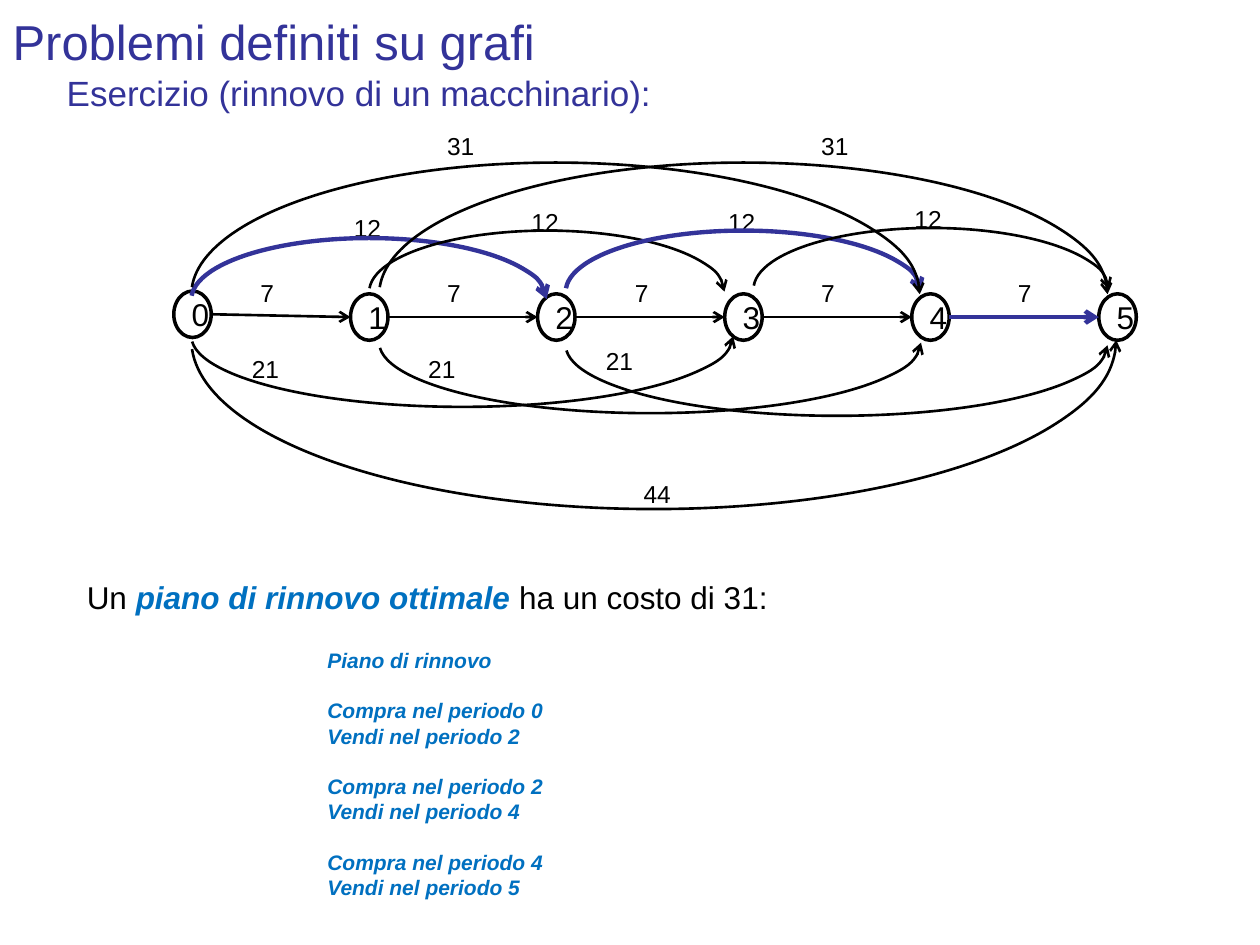
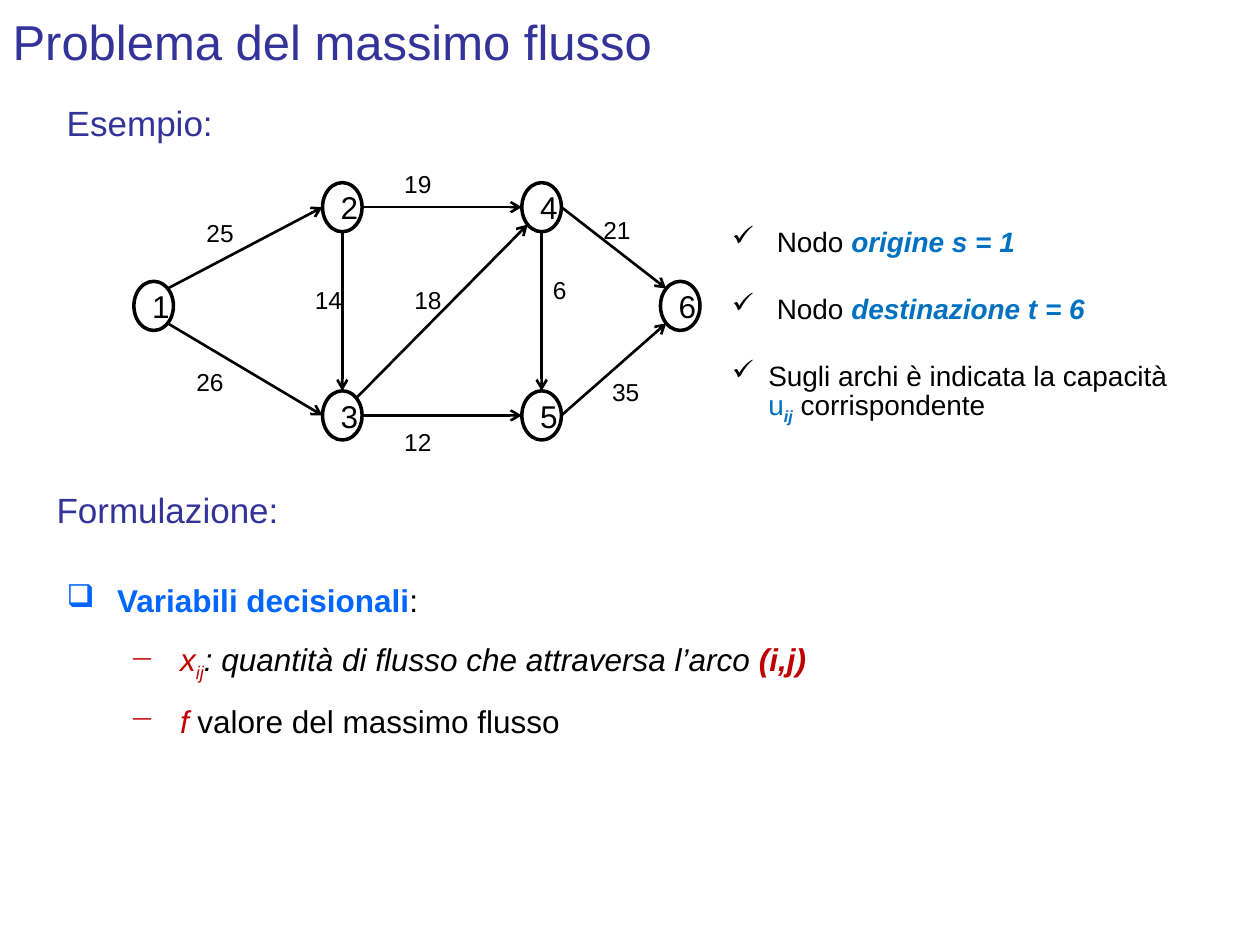
from pptx import Presentation
from pptx.dml.color import RGBColor
from pptx.enum.shapes import MSO_CONNECTOR, MSO_SHAPE
from pptx.enum.text import MSO_ANCHOR, MSO_AUTO_SIZE, PP_ALIGN
from pptx.oxml.ns import qn
from pptx.util import Pt
from lxml.etree import SubElement

FONT = "Arial"
NAVY, BLACK, WHITE = "333399", "000000", "FFFFFF"
BLUE, BRIGHT, RED = "0070C0", "0066FF", "C00000"

PLAN = {
    "title": "Problemi definiti su grafi",
    "heads": [("Esercizio (rinnovo di un macchinario):", 31, 37.4)],
    "size": (21.4, 26.6),
    "nodes": {"0": (110, 179.6)} | {str(i): (104.1 + 106.9 * i, 181.2) for i in range(1, 6)},
    "edges": [(str(i), "E", str(i + 1), "W", i == 4) for i in range(5)],
    "labels": [("7", x, 155.5) for x in (141.8, 248.4, 355.7, 462.2, 574.6)] + [
        ("12", 195.1, 118.1), ("12", 296.6, 114.5), ("12", 409, 114.5), ("12", 515.5, 113),
        ("21", 136.8, 198.7), ("21", 237.6, 198.7), ("21", 339.1, 194.4),
        ("31", 248.4, 71.3), ("31", 462.2, 71.3), ("44", 360.7, 270),
    ],
}
ARCS = [
    (203, 69.8, False, [(109.4, 136.1, True), (211, 131.8, False),
                        (323.3, 131.8, True), (430.6, 130.3, False)]),
    (309.6, 80.6, True, [(109.4, 151.9, False), (216.7, 155.5, False), (323.3, 157, False)]),
    (528.5, 193, True, [(109.4, 97.9, False)]),
    (416.2, 150.5, False, [(109.4, 92.9, False), (216.7, 92.9, False)]),
]
COST = [({}, [("Un ", BLACK, ""), ("piano di rinnovo ottimale ", BLUE, "bi"),
              ("ha un costo di 31:", BLACK, "")])]
STEPS = [(0, 2), (2, 4), (4, 5)]

FLOW = {
    "title": "Problema del massimo flusso",
    "heads": [("Esempio:", 31, 54.7), ("Formulazione:", 25.2, 275.8)],
    "size": (22.6, 28.1),
    "nodes": {"1": (87.8, 174.8), "2": (195.6, 118.4), "3": (195.6, 237.4),
              "4": (309.5, 118.4), "5": (309.5, 237.4), "6": (388.7, 174.8)},
    "edges": [(a, s, b, t, False) for a, s, b, t in (
        ("1", "NE", "2", "W"), ("1", "SE", "3", "W"), ("3", "NE", "4", "SW"),
        ("2", "E", "4", "W"), ("3", "E", "5", "W"), ("2", "S", "3", "N"),
        ("4", "S", "5", "N"), ("4", "E", "6", "NW"), ("5", "E", "6", "SW"))],
    "labels": [("25", 110.9, 121), ("26", 105.1, 205.9), ("14", 172.8, 159.1),
               ("19", 223.9, 92.9), ("12", 223.9, 240.5), ("18", 229.7, 159.1),
               ("6", 308.9, 153.4), ("21", 337.7, 119.5), ("35", 342.7, 211.7)],
}
LINE = Pt(19.2)
NOTES = [
    ({"mark": "✓", "left": 25.7, "hang": 25.7, "line": LINE},
     [("Nodo ", BLACK, ""), ("origine s = 1", BLUE, "bi")]),
    ({"mark": "✓", "left": 25.7, "hang": 25.7, "line": LINE, "gap": 19.2},
     [("Nodo ", BLACK, ""), ("destinazione t = 6", BLUE, "bi")]),
    ({"mark": "✓", "left": 20.9, "hang": 20.9, "line": LINE, "gap": 19.2},
     [("Sugli archi è indicata la capacità", BLACK, "")]),
    ({"left": 20.9, "line": LINE},
     [("u", BLUE, ""), ("ij", BLUE, "bis"), (" corrispondente", BLACK, "")]),
]
SUB = {"mark": "─", "left": 64.8, "hang": 28.8, "line": 1.5}
VARS = [
    ({"mark": "❑", "left": 28.8, "hang": 28.8, "line": 1.5},
     [("Variabili decisionali", BRIGHT, "b"), (":", BLACK, "")]),
    (SUB, [("x", RED, "i"), ("ij", RED, "is"),
           (": quantità di flusso che attraversa l’arco ", BLACK, "i"), ("(i,j)", RED, "bi")]),
    (SUB, [("f", RED, "i"), (" valore del massimo flusso", BLACK, "")]),
]


def color(code):
    return RGBColor.from_string(code)


def write(para, text, size, code, style=""):
    run = para.add_run()
    run.text = text
    font = run.font
    font.name, font.size = FONT, Pt(size)
    font.bold, font.italic = "b" in style, "i" in style
    font.color.rgb = color(code)
    if "s" in style:
        run._r.get_or_add_rPr().set("baseline", "-25000")


def shape_para(para, mark=None, left=0, hang=0, line=None, gap=0):
    prop = para._p.get_or_add_pPr()
    prop.set("marL", str(Pt(left)))
    prop.set("indent", str(-Pt(hang)))
    if mark:
        SubElement(prop, qn("a:buChar")).set("char", mark)
    if line:
        para.line_spacing = line
    if gap:
        para.space_before = Pt(gap)


def put(slide, box, size, paras):
    frame = slide.shapes.add_textbox(*map(Pt, box)).text_frame
    frame.word_wrap = True
    for k, (opts, runs) in enumerate(paras):
        para = frame.add_paragraph() if k else frame.paragraphs[0]
        shape_para(para, **opts)
        for text, code, style in runs:
            write(para, text, size, code, style)


def stroke(item, hot):
    item.line.color.rgb = color(NAVY if hot else BLACK)
    item.line.width = Pt(2.5 if hot else 1.5)
    SubElement(item.line._get_or_add_ln(), qn("a:tailEnd")).set("type", "arrow")


def node(slide, name, mid, size):
    (x, y), (w, h) = mid, size
    oval = slide.shapes.add_shape(MSO_SHAPE.OVAL, Pt(x - w / 2), Pt(y - h / 2), Pt(w), Pt(h))
    oval.shadow.inherit = False
    oval.fill.solid()
    oval.fill.fore_color.rgb = color(WHITE)
    oval.line.color.rgb = color(BLACK)
    oval.line.width = Pt(2)
    oval.text_frame.vertical_anchor = MSO_ANCHOR.MIDDLE
    para = oval.text_frame.paragraphs[0]
    para.alignment = PP_ALIGN.CENTER
    write(para, name, 18, BLACK)


def site(mid, size, side):
    part = 0.5 if len(side) == 1 else 0.3536
    dx = ("E" in side) - ("W" in side)
    dy = ("S" in side) - ("N" in side)
    return Pt(mid[0] + dx * part * size[0]), Pt(mid[1] + dy * part * size[1])


def edge(slide, start, end, hot):
    line = slide.shapes.add_connector(MSO_CONNECTOR.STRAIGHT, *start, *end)
    stroke(line, hot)
    SubElement(line._element.spPr, qn("a:effectLst"))


def arc(slide, box, flip, hot):
    curve = slide.shapes.add_shape(MSO_SHAPE.ARC, *map(Pt, box))
    curve.shadow.inherit = False
    curve.adjustments[0] = 108.666
    curve.adjustments[1] = 0
    curve.fill.background()
    if flip:
        curve._element.spPr.find(qn("a:xfrm")).set("flipV", "1")
    stroke(curve, hot)


def build(deck, data):
    slide = deck.slides.add_slide(deck.slide_layouts[5])
    title = slide.shapes.title
    title.left, title.top, title.width, title.height = map(Pt, (0, -2.2, 648, 51))
    frame = title.text_frame
    frame.auto_size = MSO_AUTO_SIZE.NONE
    frame.vertical_anchor = MSO_ANCHOR.MIDDLE
    para = frame.paragraphs[0]
    para.alignment = PP_ALIGN.LEFT
    write(para, data["title"], 28, NAVY)
    for text, x, y in data["heads"]:
        put(slide, (x, y, 658, 33.8), 20, [({}, [(text, NAVY, "")])])
    nodes, size = data["nodes"], data["size"]
    for name, mid in nodes.items():
        node(slide, name, mid, size)
    for a, s, b, t, hot in data["edges"]:
        edge(slide, site(nodes[a], size, s), site(nodes[b], size, t), hot)
    for text, x, y in data["labels"]:
        put(slide, (x, y, 50, 23.5), 14, [({}, [(text, BLACK, "")])])
    return slide


def main():
    deck = Presentation()
    deck.slide_width, deck.slide_height = Pt(720), Pt(540)

    plan = build(deck, PLAN)
    for w, h, flip, spots in ARCS:
        for x, y, hot in spots:
            arc(plan, (x, y, w, h), flip, hot)
    put(plan, (42.5, 326.9, 617.8, 29), 18, COST)
    row = Pt(14.4)
    steps = [({"line": row}, [("Piano di rinnovo", BLUE, "bi")])]
    for buy, sell in STEPS:
        steps.append(({"line": row, "gap": 14.4}, [(f"Compra nel periodo {buy}", BLUE, "bi")]))
        steps.append(({"line": row}, [(f"Vendi nel periodo {sell}", BLUE, "bi")]))
    put(plan, (180, 366.5, 360, 152.6), 12, steps)

    flow = build(deck, FLOW)
    put(flow, (411.1, 124.6, 277.9, 123.8), 16, NOTES)
    put(flow, (31, 317.5, 652.3, 105.8), 18, VARS)
    deck.save("out.pptx")


if __name__ == "__main__":
    main()
